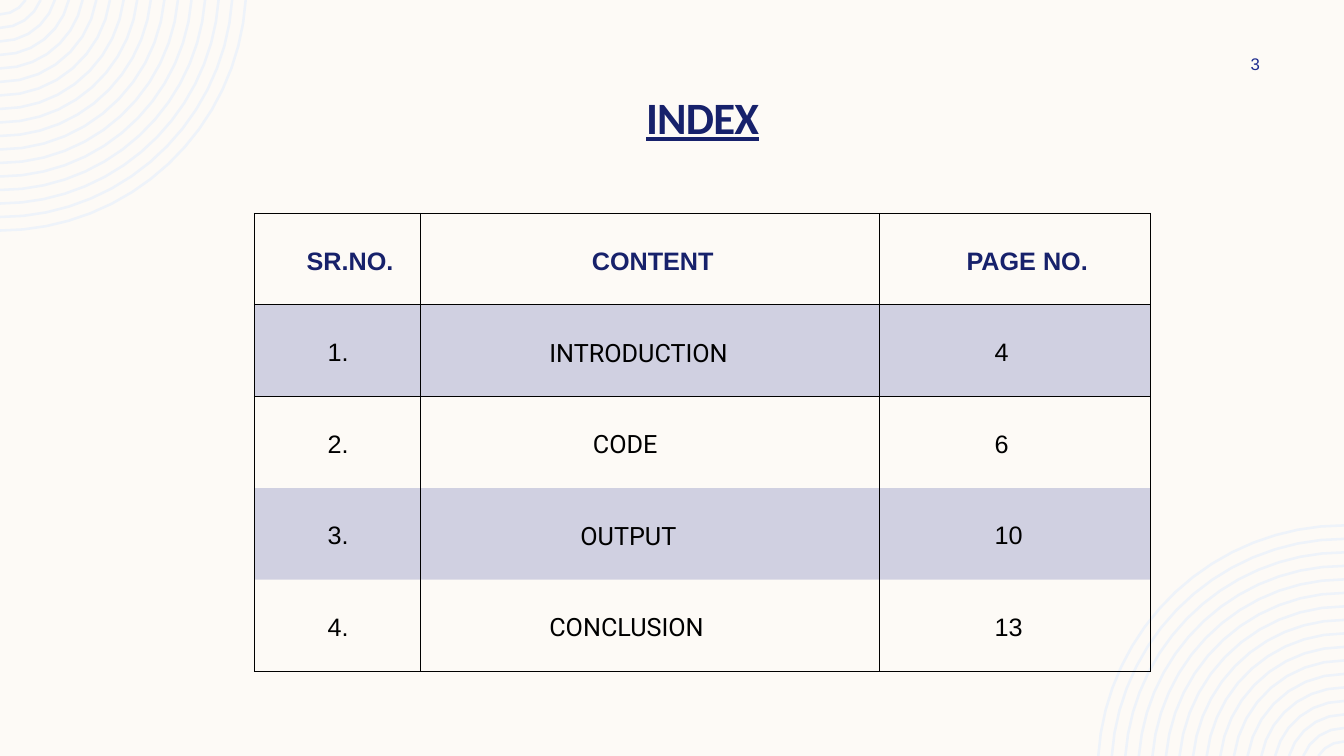
"""Build the index slide of a report deck."""
from collections import namedtuple
from dataclasses import dataclass
from math import asin, ceil, cos, pi, sin

from lxml.etree import SubElement
from pptx import Presentation
from pptx.dml.color import RGBColor
from pptx.enum.text import MSO_ANCHOR, PP_ALIGN
from pptx.oxml.ns import qn
from pptx.util import Pt

Box = namedtuple("Box", "left top width height")
Entry = namedtuple("Entry", "text indent font")


@dataclass(frozen=True)
class Theme:
    """Colours, fonts and type sizes of the slide."""
    paper: str = "FDFAF6"
    ripple: str = "EEF3FA"
    accent: str = "1F2C8F"
    heading: str = "17216B"
    ink: str = "000000"
    title_font: str = "Calibri"
    body_font: str = "Arial"
    topic_font: str = "Roboto"
    title_size: float = 32
    table_size: float = 18
    number_size: float = 12
    band_alpha: int = 20
    rule: float = 1
    strong_rule: float = 1.5
    ripple_width: float = 1.8


THEME = Theme()
HEADER = (("SR.NO.", 30), ("CONTENT", 115), ("PAGE NO.", 55))
TOPICS = (
    ("INTRODUCTION", 84.6, "4"),
    ("CODE", 115.7, "6"),
    ("OUTPUT", 106.8, "10"),
    ("CONCLUSION", 84.6, "13"),
)
COLUMN_WIDTHS = (118.8, 327.6, 193.7)


def apply_format(target, values):
    """Set every attribute named in values on the target."""
    for name, value in values.items():
        setattr(target, name, value)


def write_run(paragraph, text, font, size, color, **extras):
    """Add a formatted run to a paragraph."""
    run = paragraph.add_run()
    run.text = text
    apply_format(run.font, {"name": font, "size": Pt(size), **extras})
    run.font.color.rgb = RGBColor.from_string(color)
    return run


def draw_ripples(slide, box, direction):
    """Draw concentric arcs from the top left (1) or bottom right (-1) corner of the box."""
    rings, step, overhang, chord = 17, 9.65, 11.16, 12
    corner_x = box.left if direction > 0 else box.left + box.width
    corner_y = box.top if direction > 0 else box.top + box.height

    def arc(radius):
        """List the points of one arc between the two slide edges."""
        start = asin(overhang / radius)
        segments = ceil(radius / chord) + 1
        angles = [start + (pi / 2 - start) * k / segments for k in range(segments + 1)]
        return [
            (Pt(corner_x + direction * radius * cos(angle)),
             Pt(corner_y + direction * (radius * sin(angle) - overhang)))
            for angle in angles
        ]

    outer = box.height + overhang - THEME.ripple_width / 2
    arcs = [arc(outer - ring * step) for ring in range(rings)]
    builder = slide.shapes.build_freeform(*arcs[0][0])
    for ring, points in enumerate(arcs):
        if ring:
            builder.move_to(*points[0])
        builder.add_line_segments(points[1:], close=False)
    ripples = builder.convert_to_shape()
    ripples.shadow.inherit = False
    ripples.fill.background()
    ripples.line.width = Pt(THEME.ripple_width)
    ripples.line.color.rgb = RGBColor.from_string(THEME.ripple)


def draw_page_number(slide, box, number):
    """Write the page number at the right of the box."""
    frame = slide.shapes.add_textbox(*map(Pt, box)).text_frame
    apply_format(frame, {"word_wrap": True, "margin_right": 0,
                         "vertical_anchor": MSO_ANCHOR.MIDDLE})
    frame.paragraphs[0].alignment = PP_ALIGN.RIGHT
    write_run(frame.paragraphs[0], number, THEME.body_font, THEME.number_size, THEME.accent)


def draw_title(slide, box, title):
    """Write the underlined title centred in the box."""
    frame = slide.shapes.add_textbox(*map(Pt, box)).text_frame
    frame.word_wrap = True
    frame.paragraphs[0].alignment = PP_ALIGN.CENTER
    heading = write_run(frame.paragraphs[0], title, THEME.title_font, THEME.title_size,
                        THEME.heading, bold=True, underline=True)
    heading.font._element.set("spc", "-60")


def set_borders(cell, widths):
    """Rule the cell edges in the order left, right, top, bottom; zero leaves an edge open."""
    properties = cell._tc.get_or_add_tcPr()
    for edge, width in zip(("lnL", "lnR", "lnT", "lnB"), widths):
        line = SubElement(properties, qn(f"a:{edge}"), w=str(Pt(width)))
        if width:
            paint = SubElement(line, qn("a:solidFill"))
            SubElement(paint, qn("a:srgbClr"), val=THEME.ink)
        else:
            SubElement(line, qn("a:noFill"))


def fill_cell(cell, banded):
    """Tint a banded cell and leave any other one clear."""
    if not banded:
        cell.fill.background()
        return
    cell.fill.solid()
    cell.fill.fore_color.rgb = RGBColor.from_string(THEME.accent)
    tint = cell._tc.tcPr.find(f"{qn('a:solidFill')}/{qn('a:srgbClr')}")
    SubElement(tint, qn("a:alpha"), val=str(THEME.band_alpha * 1000))


def index_rows():
    """List the entries of the header and of each numbered topic."""
    rows = [[Entry(text, indent, THEME.body_font) for text, indent in HEADER]]
    for number, (topic, indent, page) in enumerate(TOPICS, 1):
        rows.append([
            Entry(f"{number}.", 45, THEME.body_font),
            Entry(topic, indent, THEME.topic_font),
            Entry(page, 75, THEME.body_font),
        ])
    return rows


def draw_index_table(slide, box):
    """Fill the box with the ruled and banded index table."""
    rows = index_rows()
    index = slide.shapes.add_table(len(rows), len(COLUMN_WIDTHS), *map(Pt, box)).table
    apply_format(index, {"first_row": False, "horz_banding": False})
    for column, width in zip(index.columns, COLUMN_WIDTHS):
        column.width = Pt(width)
    rules = [THEME.rule, THEME.rule, THEME.strong_rule, 0, 0, THEME.rule]
    for r, entries in enumerate(rows):
        index.rows[r].height = Pt(box.height / len(rows))
        is_header = r == 0
        for c, entry in enumerate(entries):
            cell = index.cell(r, c)
            set_borders(cell, (THEME.rule, THEME.rule, rules[r], rules[r + 1]))
            fill_cell(cell, banded=r % 2 == 1)
            apply_format(cell, {"margin_top": Pt(24.3), "margin_left": Pt(7.2 + entry.indent),
                                "margin_right": 0, "vertical_anchor": MSO_ANCHOR.TOP})
            write_run(cell.text_frame.paragraphs[0], entry.text, entry.font, THEME.table_size,
                      THEME.heading if is_header else THEME.ink, bold=is_header)


def build_index_slide(deck):
    """Add the index slide to the deck."""
    slide = deck.slides.add_slide(deck.slide_layouts[6])
    slide.background.fill.solid()
    slide.background.fill.fore_color.rgb = RGBColor.from_string(THEME.paper)
    draw_ripples(slide, Box(0, 0, 176.4, 165.6), 1)
    draw_ripples(slide, Box(783.6, 374.4, 176.4, 165.6), -1)
    draw_page_number(slide, Box(822.2, 36, 77.8, 19.4), "3")
    draw_title(slide, Box(434.9, 60.5, 133.9, 70.6), "INDEX")
    draw_index_table(slide, Box(181.8, 152.4, sum(COLUMN_WIDTHS), 327))


def main():
    """Create the deck and save it."""
    deck = Presentation()
    apply_format(deck, {"slide_width": Pt(960), "slide_height": Pt(540)})
    build_index_slide(deck)
    deck.save("out.pptx")


if __name__ == "__main__":
    main()
